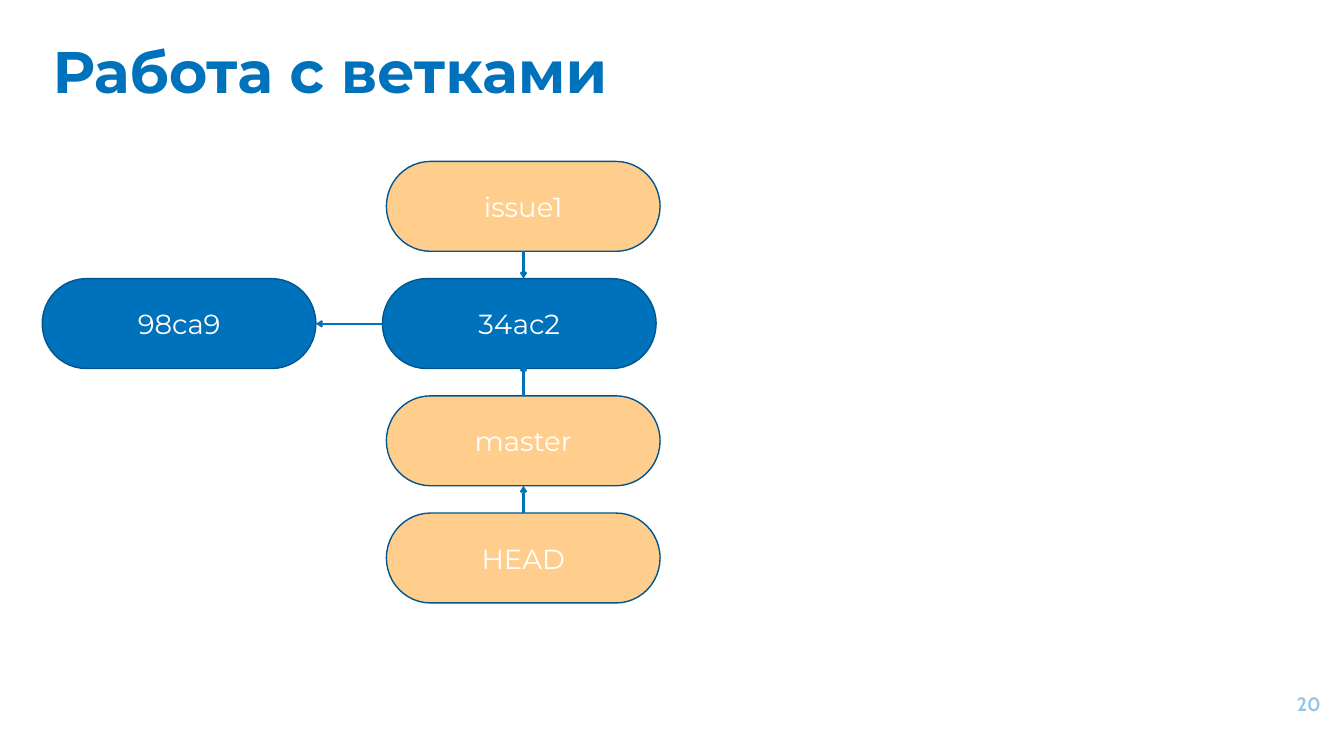
from lxml.etree import SubElement
from pptx import Presentation
from pptx.dml.color import RGBColor
from pptx.enum.shapes import MSO_CONNECTOR as Connector, MSO_SHAPE as Shape
from pptx.enum.text import MSO_ANCHOR as Anchor, PP_ALIGN as Align
from pptx.oxml.ns import qn
from pptx.util import Inches, Pt

# Content
TITLE = "Работа с ветками"
PAGE_NUMBER = "20"
BLUE, DARK_BLUE, PALE_BLUE = "0072BC", "00568D", "92C5EB"
ORANGE, WHITE = "FFCD8C", "FFFFFF"
# Node: label, left edge, row, fill
NODES = [
    ("98ca9", 0.85, 1, BLUE),
    ("34ac2", 7.7, 1, BLUE),
    ("master", 7.78, 2, ORANGE),
    ("HEAD", 7.78, 3, ORANGE),
    ("issue1", 7.78, 0, ORANGE),
]

# Layout of the graph
NODE_W, NODE_H = 5.51, 1.81
FIRST_TOP, ROW_STEP = 3.25, 2.36
BRANCH_X = 10.54
COMMIT_Y = 6.52


def row_top(row):
    return FIRST_TOP + row * ROW_STEP


def row_bottom(row):
    return row_top(row) + NODE_H


# Arrow: start, end
ARROWS = [
    ((7.7, COMMIT_Y), (6.36, COMMIT_Y)),
    ((BRANCH_X, row_top(3)), (BRANCH_X, row_bottom(2))),
    ((BRANCH_X, row_top(2)), (BRANCH_X, 7.34)),
    ((BRANCH_X, row_bottom(0)), (BRANCH_X, row_top(1))),
]


def rgb(color):
    return RGBColor.from_string(color)


def write(shape, text, color, align, anchor, margin=0.1, **font_format):
    frame = shape.text_frame
    frame.word_wrap = True
    frame.vertical_anchor = anchor
    for side in ("left", "top", "right", "bottom"):
        setattr(frame, f"margin_{side}", Inches(margin))
    line = frame.paragraphs[0]
    line.alignment = align
    run = line.add_run()
    run.text = text
    run.font.color.rgb = rgb(color)
    for name, value in font_format.items():
        setattr(run.font, name, value)


def add_node(slide, label, left, row, fill):
    node = slide.shapes.add_shape(
        Shape.FLOWCHART_TERMINATOR,
        *map(Inches, (left, row_top(row), NODE_W, NODE_H)))
    node.shadow.inherit = False
    node.fill.solid()
    node.fill.fore_color.rgb = rgb(fill)
    node.line.color.rgb = rgb(DARK_BLUE)
    node.line.width = Pt(2)
    write(node, label, WHITE, Align.CENTER, Anchor.MIDDLE, margin=0.05,
          size=Pt(40), name="Montserrat")


def add_arrow(slide, start, end):
    arrow = slide.shapes.add_connector(
        Connector.STRAIGHT, *map(Inches, start + end))
    arrow.line.color.rgb = rgb(BLUE)
    arrow.line.width = Pt(3)
    SubElement(arrow.line._get_or_add_ln(), qn("a:tailEnd"), type="arrow")
    SubElement(arrow._element.spPr, qn("a:effectLst"))


def main():
    deck = Presentation()
    deck.slide_width, deck.slide_height = Inches(27.06), Inches(15)
    slide = deck.slides.add_slide(deck.slide_layouts[6])

    # Title and page number
    title = slide.shapes.add_textbox(*map(Inches, (0.96, 0.61, 17.39, 1.92)))
    write(title, TITLE, BLUE, Align.LEFT, Anchor.TOP,
          size=Pt(85), name="Montserrat", bold=True)
    number = slide.shapes.add_textbox(*map(Inches, (25.07, 13.6, 1.62, 1.15)))
    write(number, PAGE_NUMBER, PALE_BLUE, Align.RIGHT, Anchor.MIDDLE,
          size=Pt(28), name="Cabin", bold=True)

    # Commit graph
    for node in NODES:
        add_node(slide, *node)
    for arrow in ARROWS:
        add_arrow(slide, *arrow)

    deck.save("out.pptx")


if __name__ == "__main__":
    main()
